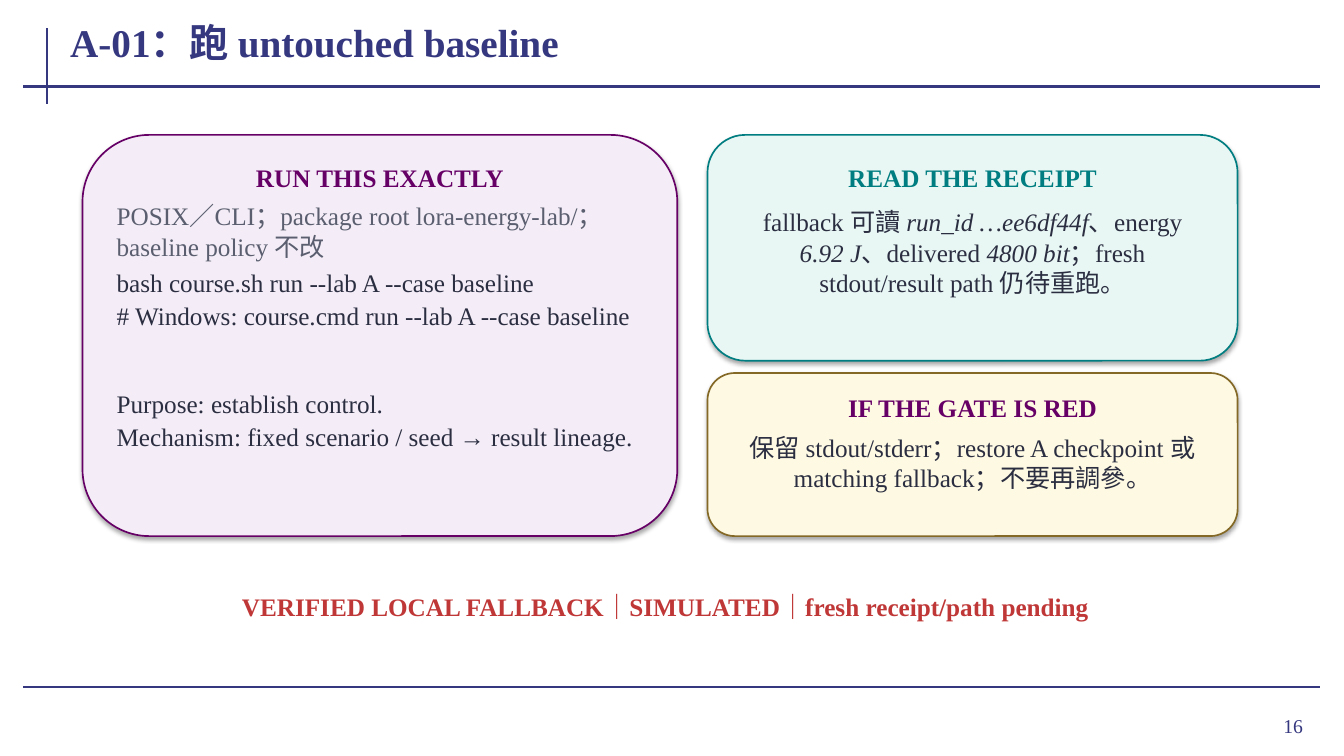
from lxml import etree
from pptx import Presentation
from pptx.dml.color import RGBColor
from pptx.enum.shapes import MSO_CONNECTOR, MSO_SHAPE
from pptx.enum.text import MSO_ANCHOR, MSO_AUTO_SIZE, PP_ALIGN
from pptx.oxml.ns import qn
from pptx.util import Cm, Pt

# Content: lengths in centimetres
NAVY, PURPLE, TEAL, BROWN = "35377F", "660066", "007D80", "846826"
INK, GREY, RED = "2B2E41", "5A5E6F", "C03737"
FONT = "Times New Roman"
PANEL_PADDING = 0.66
INSETS = {"margin_left": 0.2, "margin_right": 0.2,
          "margin_top": 0.08, "margin_bottom": 0.05}
LEFT, CENTER, RIGHT = PP_ALIGN.LEFT, PP_ALIGN.CENTER, PP_ALIGN.RIGHT

TITLE = "A-01：跑 untouched baseline"
STATUS = "VERIFIED LOCAL FALLBACK｜SIMULATED｜fresh receipt/path pending"
PAGE_NUMBER = "16"

RULES = [  # x1, y1, x2, y2
    (1.19, 0.71, 1.19, 2.62),
    (0.58, 2.18, 33.27, 2.18),
    (0.58, 17.32, 33.27, 17.32),
]

# A paragraph is a list of runs; every second run is italic
PANELS = [
    {"box": (2.08, 3.4, 14.99, 10.11), "fill": "F4EDF7", "line": PURPLE,
     "heading": ("RUN THIS EXACTLY", PURPLE, 4.01), "align": LEFT,
     "texts": [  # top, height, colour, paragraphs
         (4.98, 1.47, GREY,
          [["POSIX／CLI；package root lora-energy-lab/；baseline policy 不改"]]),
         (6.65, 2.79, INK,
          [["bash course.sh run --lab A --case baseline"],
           ["# Windows: course.cmd run --lab A --case baseline"]]),
         (9.7, 3.3, INK,
          [["Purpose: establish control."],
           ["Mechanism: fixed scenario / seed → result lineage."]]),
     ]},
    {"box": (17.83, 3.4, 13.36, 5.69), "fill": "E8F7F4", "line": TEAL,
     "heading": ("READ THE RECEIPT", TEAL, 4.01), "align": CENTER,
     "texts": [
         (5.13, 3.61, INK,
          [["fallback 可讀 ", "run_id …ee6df44f", "、energy ", "6.92 J",
            "、delivered ", "4800 bit",
            "；fresh stdout/result path 仍待重跑。"]]),
     ]},
    {"box": (17.83, 9.4, 13.36, 4.11), "fill": "FDF9E2", "line": BROWN,
     "heading": ("IF THE GATE IS RED", PURPLE, 9.8), "align": CENTER,
     "texts": [
         (10.82, 2.39, INK,
          [["保留 stdout/stderr；restore A checkpoint 或 matching fallback；"
            "不要再調參。"]]),
     ]},
]


def color(value):
    return RGBColor.from_string(value)


def set_all(target, values):
    for name, value in values.items():
        setattr(target, name, value)


def add_effects(shape):
    return etree.SubElement(shape._element.spPr, qn("a:effectLst"))


def add_rule(slide, ends):
    rule = slide.shapes.add_connector(MSO_CONNECTOR.STRAIGHT, *map(Cm, ends))
    rule.line.color.rgb = color(NAVY)
    rule.line.width = Pt(1.5)
    add_effects(rule)


def add_text(slide, box, paragraphs, ink, align=LEFT, size=18, bold=False,
             anchor=MSO_ANCHOR.TOP):
    frame = slide.shapes.add_textbox(*map(Cm, box)).text_frame
    set_all(frame, {name: Cm(inset) for name, inset in INSETS.items()})
    set_all(frame, {"word_wrap": True, "vertical_anchor": anchor,
                    "auto_size": MSO_AUTO_SIZE.NONE})
    for index, runs in enumerate(paragraphs):
        paragraph = frame.add_paragraph() if index else frame.paragraphs[0]
        set_all(paragraph, {"alignment": align, "space_after": Pt(2)})
        for position, text in enumerate(runs):
            run = paragraph.add_run()
            run.text = text
            set_all(run.font, {"name": FONT, "size": Pt(size), "bold": bold,
                               "italic": position % 2 == 1})
            run.font.color.rgb = color(ink)


def add_panel(slide, panel):
    shape = slide.shapes.add_shape(MSO_SHAPE.ROUNDED_RECTANGLE,
                                   *map(Cm, panel["box"]))
    shape.fill.solid()
    shape.fill.fore_color.rgb = color(panel["fill"])
    shape.line.color.rgb = color(panel["line"])
    shape.line.width = Pt(1.2)

    # Soft shadow straight below the panel
    shadow = etree.SubElement(add_effects(shape), qn("a:outerShdw"),
                              blurRad="40000", dist="23000", dir="5400000",
                              rotWithShape="0")
    shade = etree.SubElement(shadow, qn("a:srgbClr"), val="000000")
    etree.SubElement(shade, qn("a:alpha"), val="35000")

    # Heading and body share one inner column
    left, _, width, _ = panel["box"]
    left, width = left + PANEL_PADDING, width - 2 * PANEL_PADDING
    heading, ink, top = panel["heading"]
    add_text(slide, (left, top, width, 0.7), [[heading]], ink, CENTER,
             bold=True)
    for top, height, ink, paragraphs in panel["texts"]:
        add_text(slide, (left, top, width, height), paragraphs, ink,
                 panel["align"])


def main():
    presentation = Presentation()
    set_all(presentation, {"slide_width": Cm(33.87), "slide_height": Cm(19.05)})
    slide = presentation.slides.add_slide(presentation.slide_layouts[6])

    # Frame
    for ends in RULES:
        add_rule(slide, ends)
    add_text(slide, (30.38, 17.6, 2.66, 1.32), [[PAGE_NUMBER]], NAVY, RIGHT,
             size=14, anchor=MSO_ANCHOR.MIDDLE)
    add_text(slide, (1.57, 0.38, 31.72, 1.57), [[TITLE]], NAVY, size=28,
             bold=True)

    # Panels and status line
    for panel in PANELS:
        add_panel(slide, panel)
    add_text(slide, (2.34, 14.83, 28.85, 0.76), [[STATUS]], RED, CENTER,
             bold=True)

    presentation.save("out.pptx")


if __name__ == "__main__":
    main()
